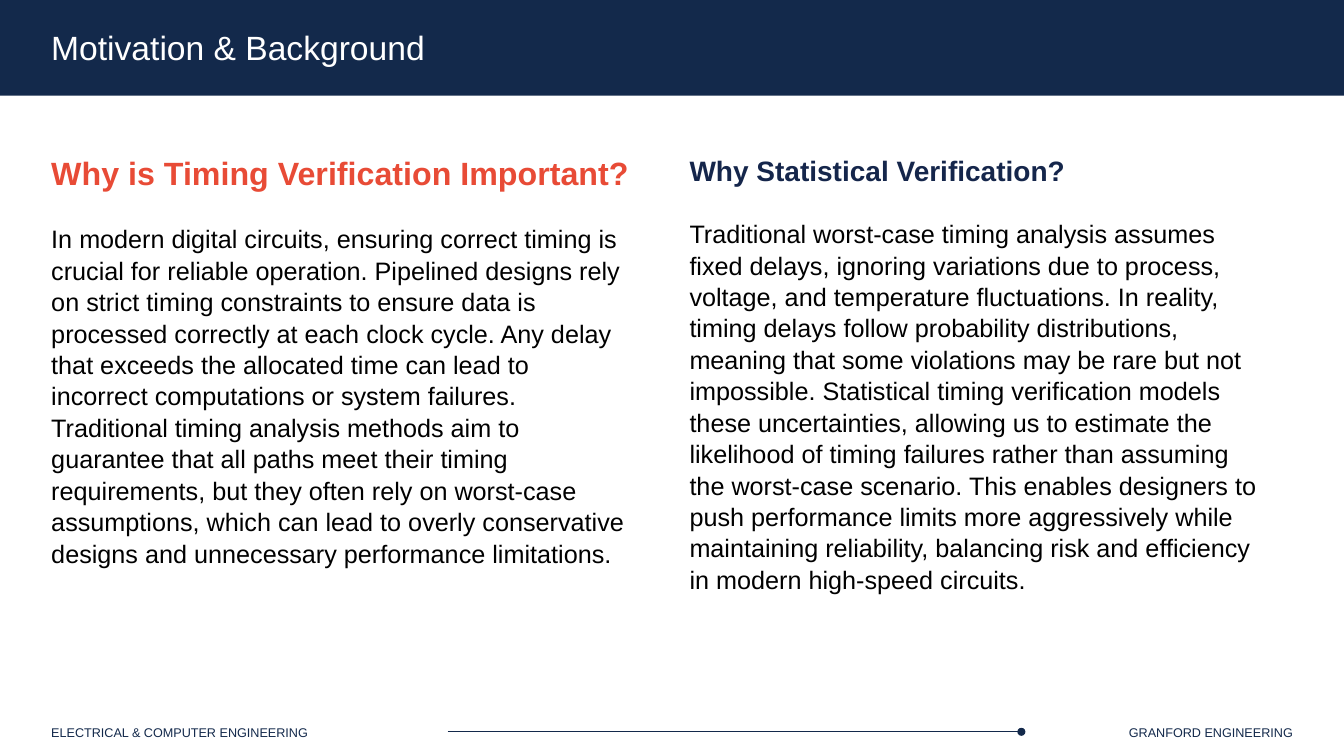
from pptx import Presentation
from pptx.dml.color import RGBColor
from pptx.enum.shapes import MSO_CONNECTOR, MSO_SHAPE
from pptx.enum.text import PP_ALIGN
from pptx.oxml.ns import qn
from pptx.util import Inches, Pt
from lxml.etree import SubElement

NAVY = "13294B"
WIDTH, HEIGHT = 13.33, 7.5
MARGIN = 0.41
COLUMN_STEP = 6.33

COLUMNS = [
    (
        "Why is Timing Verification Important?", 23, "E84B36",
        "In modern digital circuits, ensuring correct timing is crucial for reliable operation. "
        "Pipelined designs rely on strict timing constraints to ensure data is processed correctly "
        "at each clock cycle. Any delay that exceeds the allocated time can lead to incorrect "
        "computations or system failures. Traditional timing analysis methods aim to guarantee that "
        "all paths meet their timing requirements, but they often rely on worst-case assumptions, "
        "which can lead to overly conservative designs and unnecessary performance limitations.",
    ),
    (
        "Why Statistical Verification?", 20, "15264B",
        "Traditional worst-case timing analysis assumes fixed delays, ignoring variations due to "
        "process, voltage, and temperature fluctuations. In reality, timing delays follow probability "
        "distributions, meaning that some violations may be rare but not impossible. Statistical "
        "timing verification models these uncertainties, allowing us to estimate the likelihood of "
        "timing failures rather than assuming the worst-case scenario. This enables designers to push "
        "performance limits more aggressively while maintaining reliability, balancing risk and "
        "efficiency in modern high-speed circuits.",
    ),
]


def color(value):
    return RGBColor.from_string(value)


class SlideBuilder:
    """Holds the slide and its style, and adds each kind of element."""

    font = "Arial"

    def __init__(self, slide):
        self.slide = slide

    def shape(self, kind, left, top, width, height, fill):
        shape = self.slide.shapes.add_shape(
            kind, Inches(left), Inches(top), Inches(width), Inches(height))
        shape.shadow.inherit = False
        shape.fill.solid()
        shape.fill.fore_color.rgb = color(fill)
        shape.line.fill.background()

    def style(self, para, size, tint, bold=False):
        for span in para.runs:
            span.font.name = self.font
            span.font.size = Pt(size)
            span.font.bold = bold
            span.font.color.rgb = color(tint)

    def text(self, content, left, top, width, height, size, tint,
             bold=False, align=PP_ALIGN.LEFT):
        box = self.slide.shapes.add_textbox(
            Inches(left), Inches(top), Inches(width), Inches(height))
        frame = box.text_frame
        frame.word_wrap = True
        frame.text = content
        para = frame.paragraphs[0]
        para.alignment = align
        self.style(para, size, tint, bold)
        return frame

    def column(self, left, heading, size, tint, body):
        frame = self.text(heading, left, 1.46, 5.95, 5.27, size, tint, bold=True)
        frame.paragraphs[0].space_after = Pt(21.6)
        para = frame.add_paragraph()
        para.text = body
        self.style(para, 18, "000000")
        for para in frame.paragraphs:
            para.line_spacing = 1.04

    def line(self, left, right, top, tint, weight):
        line = self.slide.shapes.add_connector(
            MSO_CONNECTOR.STRAIGHT, Inches(left), Inches(top), Inches(right), Inches(top))
        line.line.color.rgb = color(tint)
        line.line.width = Pt(weight)
        SubElement(line._element.spPr, qn("a:effectLst"))


def main():
    deck = Presentation()
    deck.slide_width, deck.slide_height = Inches(WIDTH), Inches(HEIGHT)
    page = SlideBuilder(deck.slides.add_slide(deck.slide_layouts[6]))

    page.shape(MSO_SHAPE.RECTANGLE, 0, 0, WIDTH, 0.95, NAVY)
    for index, column in enumerate(COLUMNS):
        page.column(MARGIN + index * COLUMN_STEP, *column)
    page.text("Motivation & Background", MARGIN, 0.22, 11.93, 0.5, 24, "FFFFFF")

    page.text("GRANFORD ENGINEERING", 10.21, 7.14, 2.71, 0.25, 9, NAVY, align=PP_ALIGN.RIGHT)
    page.text("ELECTRICAL & COMPUTER ENGINEERING", MARGIN, 7.14, 8.74, 0.25, 9, NAVY)
    page.line(4.44, 10.1, 7.26, NAVY, 0.75)
    page.shape(MSO_SHAPE.OVAL, 10.09, 7.22, 0.08, 0.08, NAVY)

    deck.save("out.pptx")


if __name__ == "__main__":
    main()
